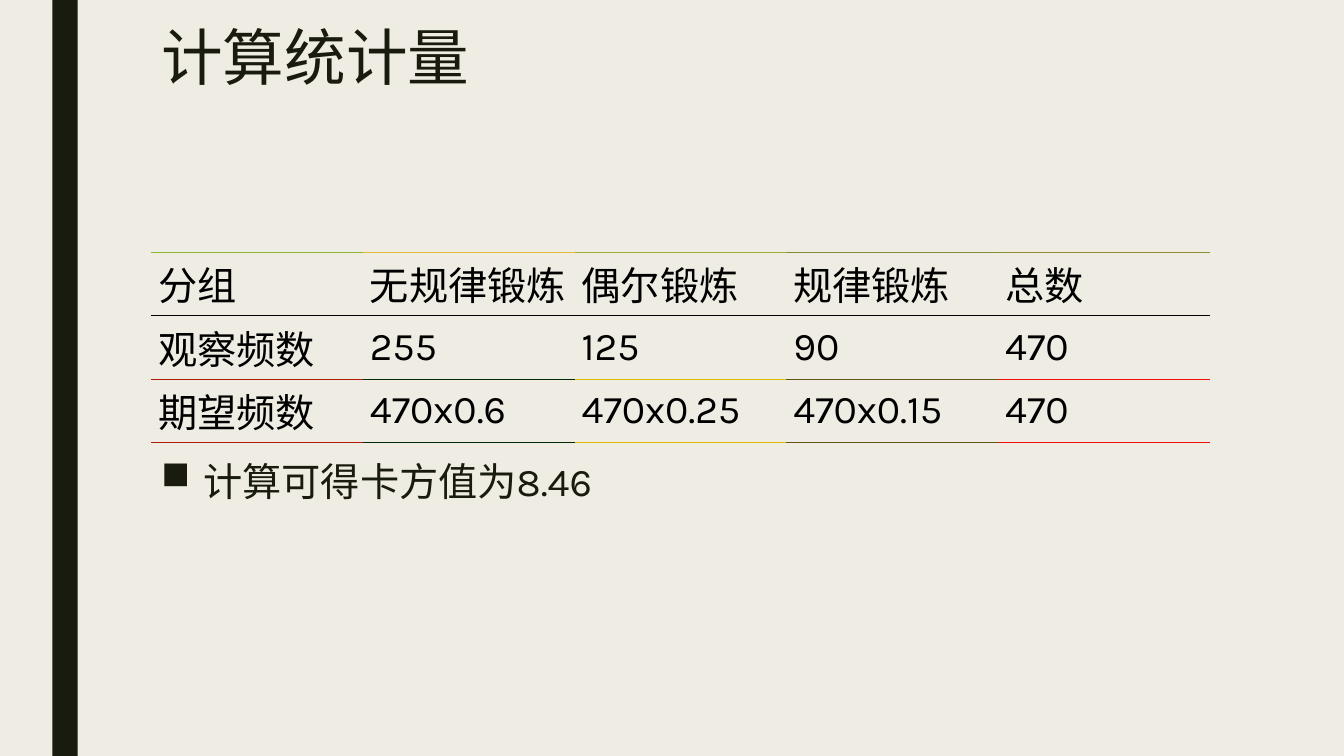
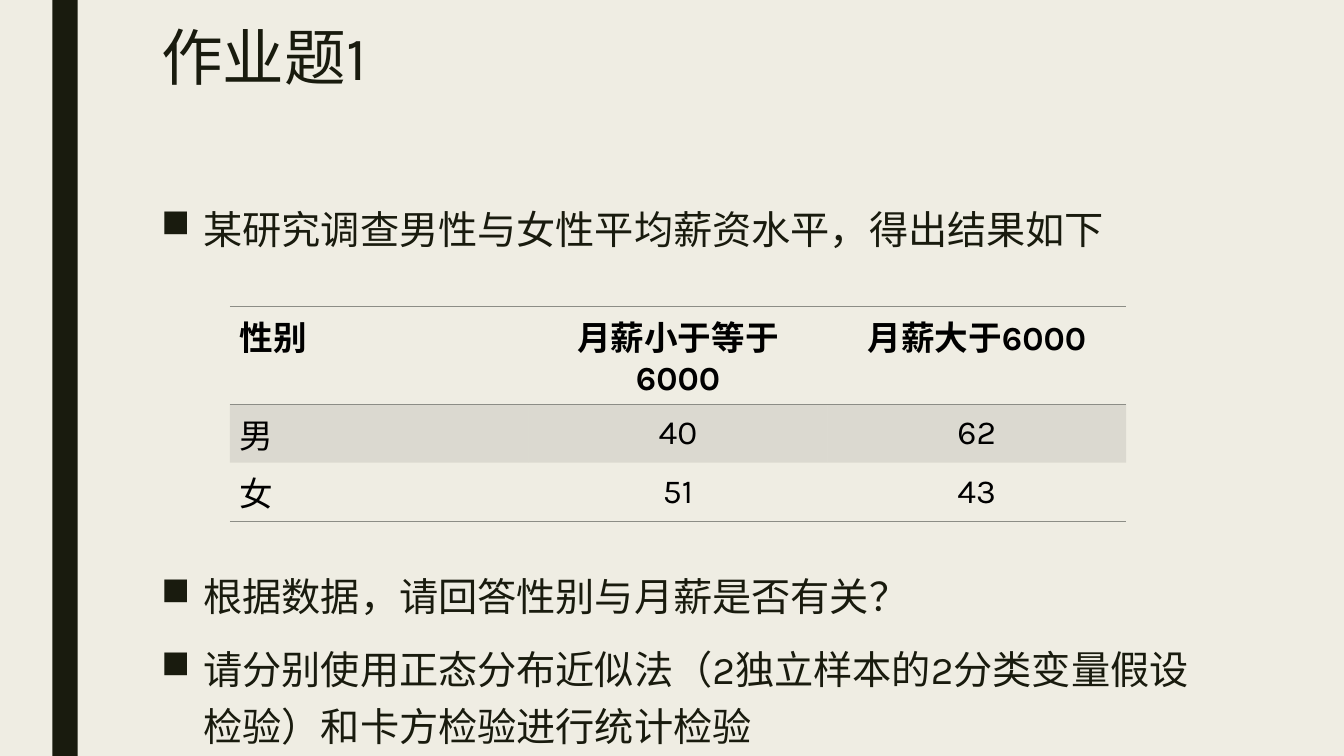
import pptx
import pptx.util
import pptx.dml.color
import pptx.enum.shapes
import pptx.enum.text
import pptx.oxml
import pptx.oxml.ns
from lxml import etree

Inches, Pt = pptx.util.Inches, pptx.util.Pt
ALIGN = pptx.enum.text.PP_ALIGN
ANCHOR = pptx.enum.text.MSO_ANCHOR
qn = pptx.oxml.ns.qn

# Shared style
FONT, BG, INK, BLACK, GRAY = "Karla", "EFEDE3", "191B0E", "000000", "8C8D86"
LEFT, WIDTH = 1.5, 10.5

# Content: slide 1
STAT_TITLE = "计算统计量"
STAT_ROWS = [
    ["分组", "无规律锻炼", "偶尔锻炼", "规律锻炼", "总数"],
    ["观察频数", "255", "125", "90", "470"],
    ["期望频数", "470x0.6", "470x0.25", "470x0.15", "470"],
]
STAT_TOP = ["90B937", "E0BD37", "A0AC37", "808D37", "908C37"]
STAT_BOTTOM = ["B01908", "002A08", "E0BA07", "605519", "F00F08"]
STAT_RULES = [STAT_TOP, [BLACK] * 5, STAT_BOTTOM, STAT_BOTTOM]
STAT_BULLETS = [("计算可得卡方值为8.46", 10)]

# Content: slide 2, bullets as (text, space before in points)
TASK_TITLE = "作业题1"
TASK_ROWS = [
    ["性别", "月薪小于等于6000", "月薪大于6000"],
    ["男", "40", "62"],
    ["女", "51", "43"],
]
TASK_RULES = [[GRAY] * 3, [GRAY] * 3, [None] * 3, [GRAY] * 3]
TASK_BULLETS = [
    ("某研究调查男性与女性平均薪资水平，得出结果如下", 10),
    ("根据数据，请回答性别与月薪是否有关？", 220),
    ("请分别使用正态分布近似法（2独立样本的2分类变量假设检验）和卡方检验进行统计检验", 10),
]


def rgb(value):
    return pptx.dml.color.RGBColor.from_string(value)


def add_run(p, text, size, color, bold=False):
    r = p.add_run()
    r.text = text
    r.font.name, r.font.size, r.font.bold = FONT, Pt(size), bold
    r.font.color.rgb = rgb(color)


def add_slide(title):
    s = prs.slides.add_slide(layout)
    band = s.shapes.add_shape(pptx.enum.shapes.MSO_SHAPE.RECTANGLE,
                              Inches(0.52), 0, Inches(0.25), prs.slide_height)
    band.shadow.inherit = False
    band.fill.solid()
    band.fill.fore_color.rgb = rgb(INK)
    band.line.fill.background()
    tf = s.shapes.title.text_frame
    tf.vertical_anchor = ANCHOR.TOP
    tf.auto_size = pptx.enum.text.MSO_AUTO_SIZE.NONE
    p = tf.paragraphs[0]
    p.alignment, p.line_spacing = ALIGN.LEFT, 0.89
    add_run(p, title, 44, INK)
    return s


def add_bullets(s, top, height, bullets):
    box = s.shapes.add_textbox(Inches(LEFT), Inches(top), Inches(WIDTH), Inches(height))
    tf = box.text_frame
    tf.word_wrap = True
    for i, (text, before) in enumerate(bullets):
        p = tf.add_paragraph() if i else tf.paragraphs[0]
        p.line_spacing, p.space_before, p.space_after = 1.2, Pt(before), Pt(2)
        pPr = p._p.get_or_add_pPr()
        pPr.set("marL", str(Inches(0.42)))
        pPr.set("indent", str(-Inches(0.42)))
        etree.SubElement(pPr, qn("a:buChar")).set("char", "■")
        add_run(p, text, 28, INK)


def set_border(cell, side, color, width):
    ln = etree.SubElement(cell._tc.get_or_add_tcPr(), qn("a:ln" + side))
    if color is None:
        etree.SubElement(ln, qn("a:noFill"))
        return
    ln.set("w", str(Pt(width)))
    fill = etree.SubElement(ln, qn("a:solidFill"))
    etree.SubElement(fill, qn("a:srgbClr")).set("val", color)


def set_margins(cell, across, down):
    cell.vertical_anchor = ANCHOR.MIDDLE
    cell.margin_left = cell.margin_right = Inches(across)
    cell.margin_top = cell.margin_bottom = Inches(down)


def add_table(s, left, top, width, heights, rows, rules, rule_width, size):
    """Fill a table; rules[i] and rules[i + 1] colour the edges of row i."""
    table = s.shapes.add_table(len(rows), len(rows[0]), Inches(left), Inches(top),
                               Inches(width), Inches(sum(heights))).table
    table.first_row = table.horz_banding = False
    for i, row in enumerate(rows):
        table.rows[i].height = Inches(heights[i])
        for j, text in enumerate(row):
            cell = table.cell(i, j)
            for side, color in (("L", None), ("R", None),
                                ("T", rules[i][j]), ("B", rules[i + 1][j])):
                set_border(cell, side, color, rule_width)
            cell.fill.background()
            add_run(cell.text_frame.paragraphs[0], text, size, BLACK)
    return table


# Page and layout
prs = pptx.Presentation()
prs.slide_width, prs.slide_height = Inches(13.33), Inches(7.5)
prs.slide_master.background.fill.solid()
prs.slide_master.background.fill.fore_color.rgb = rgb(BG)
layout = prs.slide_layouts[5]
title = layout.placeholders[0]
title.left, title.top = Inches(LEFT), Inches(0.23)
title.width, title.height = Inches(WIDTH), Inches(1.62)

# Slide 1: statistic
s = add_slide(STAT_TITLE)
add_bullets(s, 4.39, 1.25, STAT_BULLETS)
table = add_table(s, LEFT, 2.5, WIDTH, [0.63] * 3, STAT_ROWS, STAT_RULES, 0.5, 28)
for cell in table.iter_cells():
    set_margins(cell, 0.07, 0.03)

# Slide 2: exercise
s = add_slide(TASK_TITLE)
add_bullets(s, 1.89, 5.61, TASK_BULLETS)
table = add_table(s, 2.28, 3.04, 8.89, [0.97, 0.58, 0.58], TASK_ROWS, TASK_RULES, 1, 24)
for i, row in enumerate(table.rows):
    for j, cell in enumerate(row.cells):
        p = cell.text_frame.paragraphs[0]
        p.runs[0].font.bold = i == 0
        if j:
            p.alignment = ALIGN.CENTER
        if i and j:
            set_margins(cell, 0.01, 0.01)
        if i == 1:
            cell.fill.solid()
            cell.fill.fore_color.rgb = rgb(GRAY)
            clr = cell._tc.tcPr.find(qn("a:solidFill")).find(qn("a:srgbClr"))
            etree.SubElement(clr, qn("a:alpha")).set("val", "20000")

prs.save("out.pptx")
